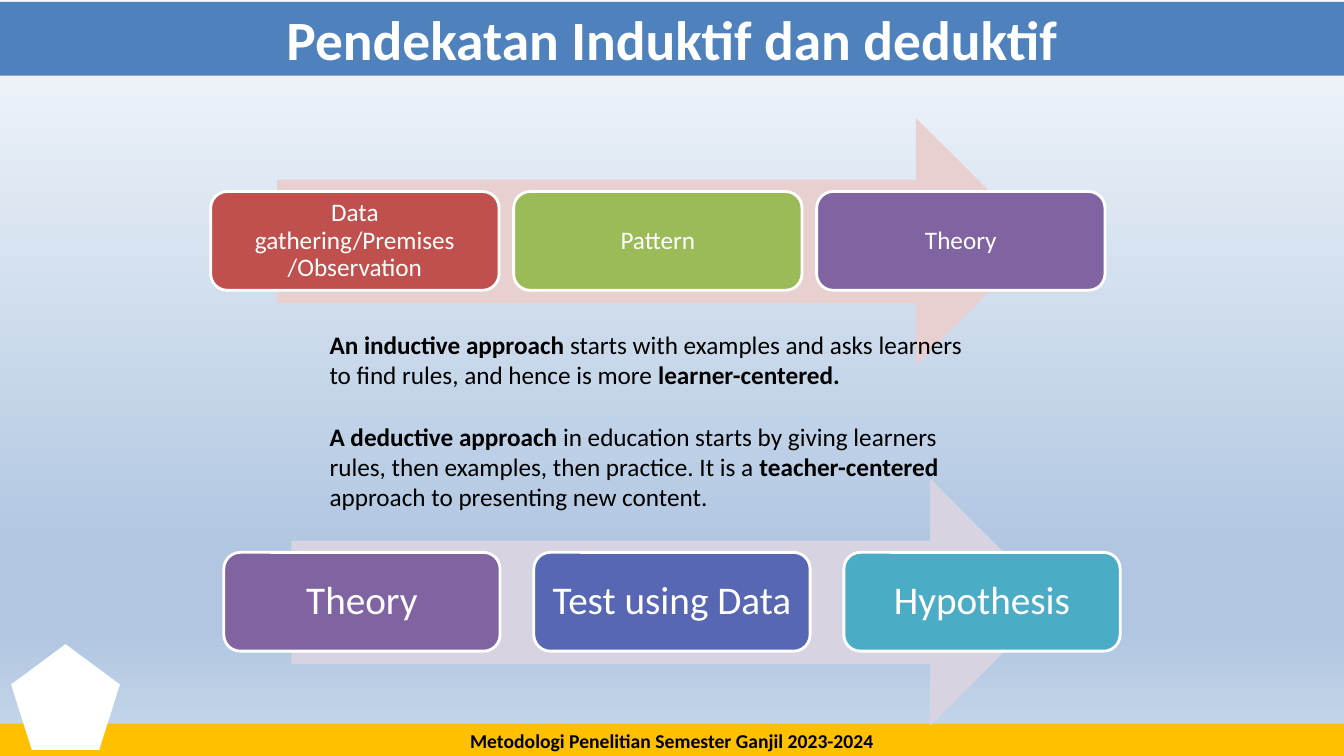
from dataclasses import dataclass

from lxml import etree
from pptx import Presentation
from pptx.dml.color import RGBColor
from pptx.enum.shapes import MSO_SHAPE
from pptx.enum.text import MSO_ANCHOR, PP_ALIGN
from pptx.oxml.ns import qn
from pptx.util import Inches, Pt

RECTANGLE = MSO_SHAPE.RECTANGLE
ROUNDED = MSO_SHAPE.ROUNDED_RECTANGLE
ARROW = MSO_SHAPE.RIGHT_ARROW
PENTAGON = MSO_SHAPE.REGULAR_PENTAGON
CENTER, LEFT = PP_ALIGN.CENTER, PP_ALIGN.LEFT
MIDDLE, TOP = MSO_ANCHOR.MIDDLE, MSO_ANCHOR.TOP


@dataclass(frozen=True)
class Theme:
    font: str = "Calibri"
    white: str = "FFFFFF"
    black: str = "000000"
    blue: str = "4F81BD"
    gold: str = "FFC000"
    red: str = "C0504D"
    green: str = "9BBB59"
    purple: str = "8064A2"
    indigo: str = "5767B4"
    teal: str = "4BACC6"
    pale_red: str = "E8D0D0"
    pale_purple: str = "D8D3E0"
    backdrop: tuple = ((0, "F6F9FC"), (74, "B0C6E1"), (83, "B0C6E1"), (100, "CAD9EB"))
    title_size: float = 39.6
    footer_size: float = 14
    body_size: float = 18
    small_step_size: float = 18
    large_step_size: float = 28


THEME = Theme()


@dataclass(frozen=True)
class Box:
    left: float
    top: float
    width: float
    height: float

    def emu(self) -> tuple:
        return tuple(Inches(v) for v in (self.left, self.top, self.width, self.height))


@dataclass(frozen=True)
class Step:
    label: str
    color: str


@dataclass(frozen=True)
class Process:
    arrow: Box
    arrow_color: str
    first_step: Box
    pitch: float
    text_size: float
    inset: float
    steps: tuple


@dataclass(frozen=True)
class Phrase:
    text: str
    bold: bool = False


PROCESSES = (
    Process(Box(2.75, 1.17, 7.56, 2.45), THEME.pale_red, Box(2.09, 1.9, 2.86, 0.98),
            3.005, THEME.small_step_size, 0.07,
            (Step("Data gathering/Premises /Observation", THEME.red),
             Step("Pattern", THEME.green),
             Step("Theory", THEME.purple))),
    Process(Box(2.89, 4.75, 7.56, 2.45), THEME.pale_purple, Box(2.22, 5.48, 2.74, 0.98),
            3.075, THEME.large_step_size, 0.12,
            (Step("Theory", THEME.purple),
             Step("Test using Data", THEME.indigo),
             Step("Hypothesis", THEME.teal))),
)

DEFINITIONS = (
    (Phrase("An inductive approach ", True),
     Phrase("starts with examples and asks learners to find rules, and hence is more "),
     Phrase("learner-centered.", True)),
    (Phrase("A deductive approach ", True),
     Phrase("in education starts by giving learners rules, then examples, "
            "then practice. It is a "),
     Phrase("teacher-centered ", True),
     Phrase("approach to presenting new content.")),
)


def paint_background(slide) -> None:
    fill = slide.background.fill
    fill.gradient()
    fill.gradient_angle = 270  # counter-clockwise, so top to bottom
    stop_list = next(slide.element.iter(qn("a:gsLst")))
    for stop in list(stop_list):
        stop_list.remove(stop)
    for percent, color in THEME.backdrop:
        stop = etree.SubElement(stop_list, qn("a:gs"), pos=str(percent * 1000))
        etree.SubElement(stop, qn("a:srgbClr"), val=color)


def add_block(slide, kind, box: Box, color: str, outline: str | None = None):
    block = slide.shapes.add_shape(kind, *box.emu())
    block.shadow.inherit = False
    block.fill.solid()
    block.fill.fore_color.rgb = RGBColor.from_string(color)
    if outline:
        block.line.color.rgb = RGBColor.from_string(outline)
        block.line.width = Pt(2)
    else:
        block.line.fill.background()
    return block


def style_font(font, size: float, color: str, bold: bool) -> None:
    font.name = THEME.font
    font.size = Pt(size)
    font.bold = bold
    font.color.rgb = RGBColor.from_string(color)


def add_label(block, text: str, size: float, color: str, bold=False, anchor=MIDDLE):
    """Write one centred paragraph in the block and return it."""
    frame = block.text_frame
    frame.word_wrap = True
    frame.vertical_anchor = anchor
    frame.text = text
    paragraph = frame.paragraphs[0]
    paragraph.alignment = CENTER
    style_font(paragraph.runs[0].font, size, color, bold)
    return paragraph


def add_process(slide, process: Process) -> None:
    add_block(slide, ARROW, process.arrow, process.arrow_color)
    first = process.first_step
    for index, step in enumerate(process.steps):
        box = Box(first.left + index * process.pitch, first.top, first.width, first.height)
        block = add_block(slide, ROUNDED, box, step.color, THEME.white)
        add_label(block, step.label, process.text_size, THEME.white).line_spacing = 0.9
        frame = block.text_frame
        frame.margin_left = frame.margin_right = Inches(process.inset)
        frame.margin_top = frame.margin_bottom = Inches(process.inset)


def add_definitions(slide, box: Box) -> None:
    frame = slide.shapes.add_textbox(*box.emu()).text_frame
    frame.word_wrap = True
    for index, phrases in enumerate(DEFINITIONS):
        paragraph = frame.add_paragraph() if index else frame.paragraphs[0]
        paragraph.alignment = LEFT
        paragraph.space_before = Pt(22 if index else 0)
        for phrase in phrases:
            run = paragraph.add_run()
            run.text = phrase.text
            style_font(run.font, THEME.body_size, THEME.black, phrase.bold)


def main() -> None:
    deck = Presentation()
    deck.slide_width, deck.slide_height = Inches(13.33), Inches(7.5)
    slide = deck.slides.add_slide(deck.slide_layouts[6])
    paint_background(slide)

    footer = add_block(slide, RECTANGLE, Box(0, 7.18, 13.33, 0.34), THEME.gold)
    add_label(footer, "Metodologi Penelitian Semester Ganjil 2023-2024",
              THEME.footer_size, THEME.black, True, TOP)
    add_block(slide, PENTAGON, Box(0.11, 6.39, 1.08, 1.05), THEME.white)
    title = add_block(slide, RECTANGLE, Box(0, 0.02, 13.33, 0.73), THEME.blue)
    add_label(title, "Pendekatan Induktif dan deduktif", THEME.title_size, THEME.white, True)

    for process in PROCESSES:
        add_process(slide, process)
    add_definitions(slide, Box(3.17, 3.22, 6.72, 1.92))
    deck.save("out.pptx")


if __name__ == "__main__":
    main()
